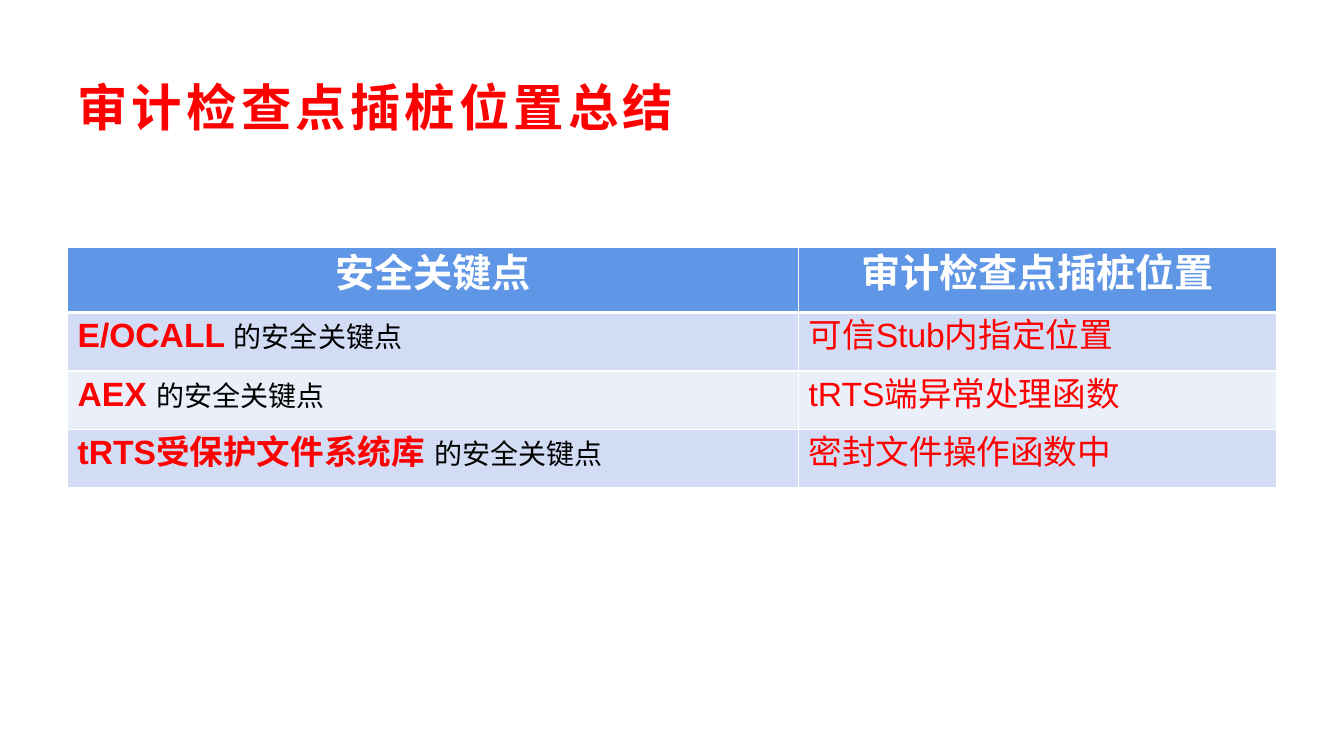
"""Build the slide that sums up where audit checkpoints are instrumented."""
import lxml.etree
import pptx
import pptx.dml.color
import pptx.enum.lang
import pptx.enum.text
import pptx.oxml.ns
import pptx.util

PX = 9144
FONT = "Arial"
RED = pptx.dml.color.RGBColor(0xFF, 0x00, 0x00)
BLACK = pptx.dml.color.RGBColor(0x00, 0x00, 0x00)
WHITE = pptx.dml.color.RGBColor(0xFF, 0xFF, 0xFF)
HEADER_BLUE = pptx.dml.color.RGBColor(0x60, 0x96, 0xE6)
BANDS = (
    pptx.dml.color.RGBColor(0xD2, 0xDD, 0xF5),
    pptx.dml.color.RGBColor(0xEA, 0xEF, 0xFA),
)
ALIGN = pptx.enum.text.PP_ALIGN

HEADERS = ("安全关键点", "审计检查点插桩位置")
SUFFIX = "的安全关键点"
ROWS = (
    ("E/OCALL ", "可信Stub内指定位置"),
    ("AEX ", "tRTS端异常处理函数"),
    ("tRTS受保护文件系统库 ", "密封文件操作函数中"),
)
COL_WIDTHS = (725, 474)
ROW_HEIGHTS = (65, 58, 58, 58)


def px(n):
    """Turn pixels into EMU."""
    return pptx.util.Emu(n * PX)


def sub(parent, tag, **attrs):
    """Append a DrawingML element."""
    return lxml.etree.SubElement(parent, pptx.oxml.ns.qn(tag), **attrs)


def add_run(p, text, size=24, color=RED, bold=False, spacing=0):
    """Add a formatted run to a paragraph."""
    r = p.add_run()
    r.text = text
    f = r.font
    f.name, f.size, f.bold = FONT, pptx.util.Pt(size), bold
    f.color.rgb = color
    f.language_id = pptx.enum.lang.MSO_LANGUAGE_ID.SIMPLIFIED_CHINESE
    rPr = r._r.get_or_add_rPr()
    sub(rPr, "a:ea", typeface=FONT)
    if spacing:
        rPr.set("spc", str(spacing * 100))


def add_title(s, text):
    """Add the slide title."""
    sp = s.shapes.add_textbox(px(67), px(67), px(1200), px(77))
    tf = sp.text_frame
    tf.word_wrap = True
    tf.vertical_anchor = pptx.enum.text.MSO_ANCHOR.MIDDLE
    add_run(tf.paragraphs[0], text, size=36, bold=True, spacing=3)


def style_cell(cell, fill, align, top=1, bottom=1):
    """Set borders, fill and alignment, and return the paragraph."""
    tcPr = cell._tc.get_or_add_tcPr()
    for side, width in (("L", 1), ("R", 1), ("T", top), ("B", bottom)):
        ln = sub(tcPr, f"a:ln{side}", w=str(pptx.util.Pt(width)))
        sub(sub(ln, "a:solidFill"), "a:srgbClr", val=str(WHITE))
    cell.fill.solid()
    cell.fill.fore_color.rgb = fill
    p = cell.text_frame.paragraphs[0]
    p.alignment = align
    return p


def add_summary_table(s):
    """Add the table of key points and instrumentation positions."""
    table = s.shapes.add_table(
        len(ROW_HEIGHTS), len(COL_WIDTHS), px(67), px(245),
        px(sum(COL_WIDTHS)), px(sum(ROW_HEIGHTS))).table
    for col, width in zip(table.columns, COL_WIDTHS):
        col.width = px(width)
    for row, height in zip(table.rows, ROW_HEIGHTS):
        row.height = px(height)
    for j, text in enumerate(HEADERS):
        p = style_cell(table.cell(0, j), HEADER_BLUE, ALIGN.CENTER, bottom=3)
        add_run(p, text, size=28, color=WHITE, bold=True)
    for i, (key, position) in enumerate(ROWS, 1):
        left, right = (
            style_cell(table.cell(i, j), BANDS[(i - 1) % 2], ALIGN.JUSTIFY,
                       top=3 if i == 1 else 1)
            for j in range(2))
        add_run(left, key, bold=True)
        add_run(left, SUFFIX, size=20, color=BLACK)
        add_run(right, position)


def main():
    """Build and save the slide."""
    prs = pptx.Presentation()
    prs.slide_width, prs.slide_height = px(1333), px(750)
    s = prs.slides.add_slide(prs.slide_layouts[6])
    add_title(s, "审计检查点插桩位置总结")
    add_summary_table(s)
    prs.save("out.pptx")


if __name__ == "__main__":
    main()
